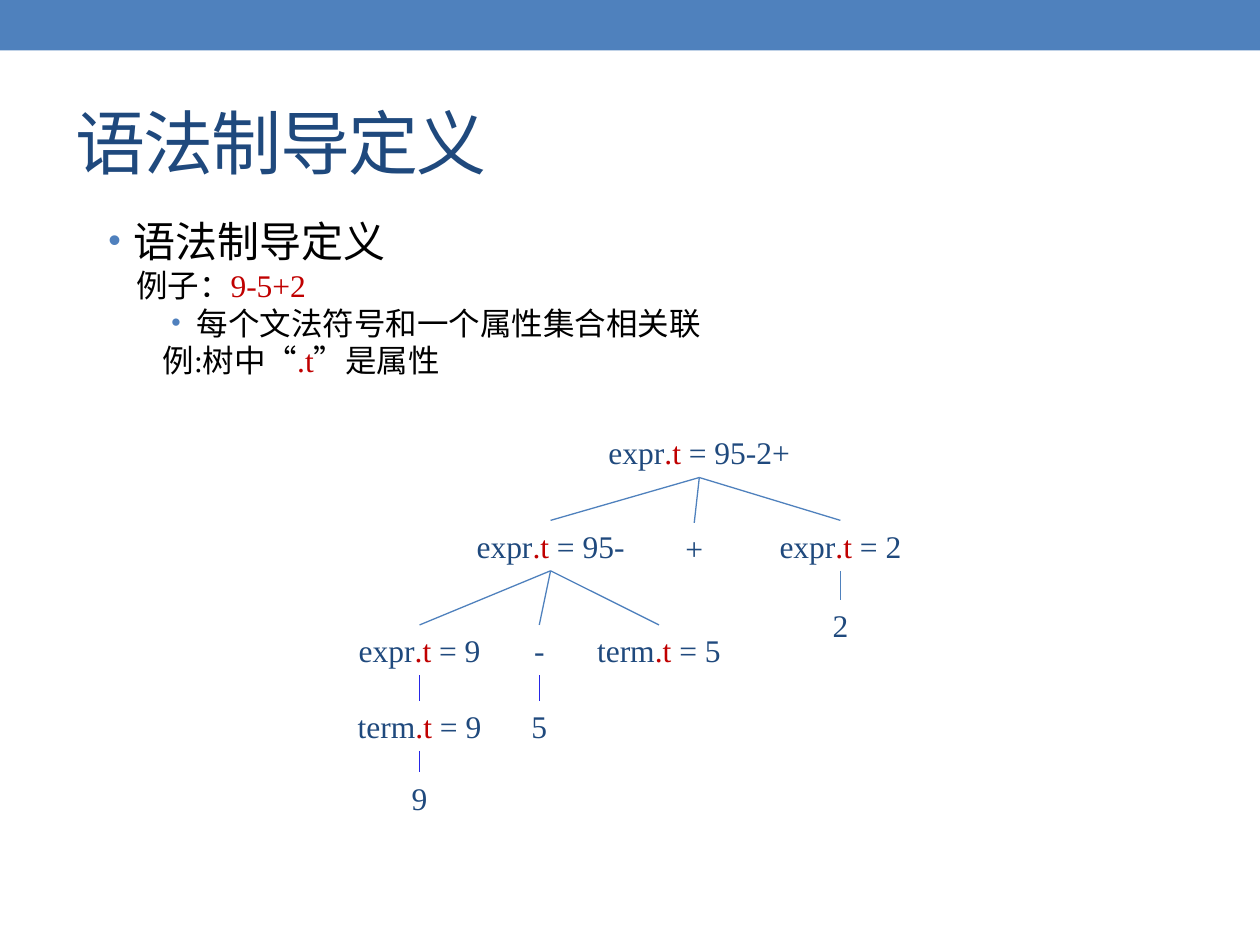
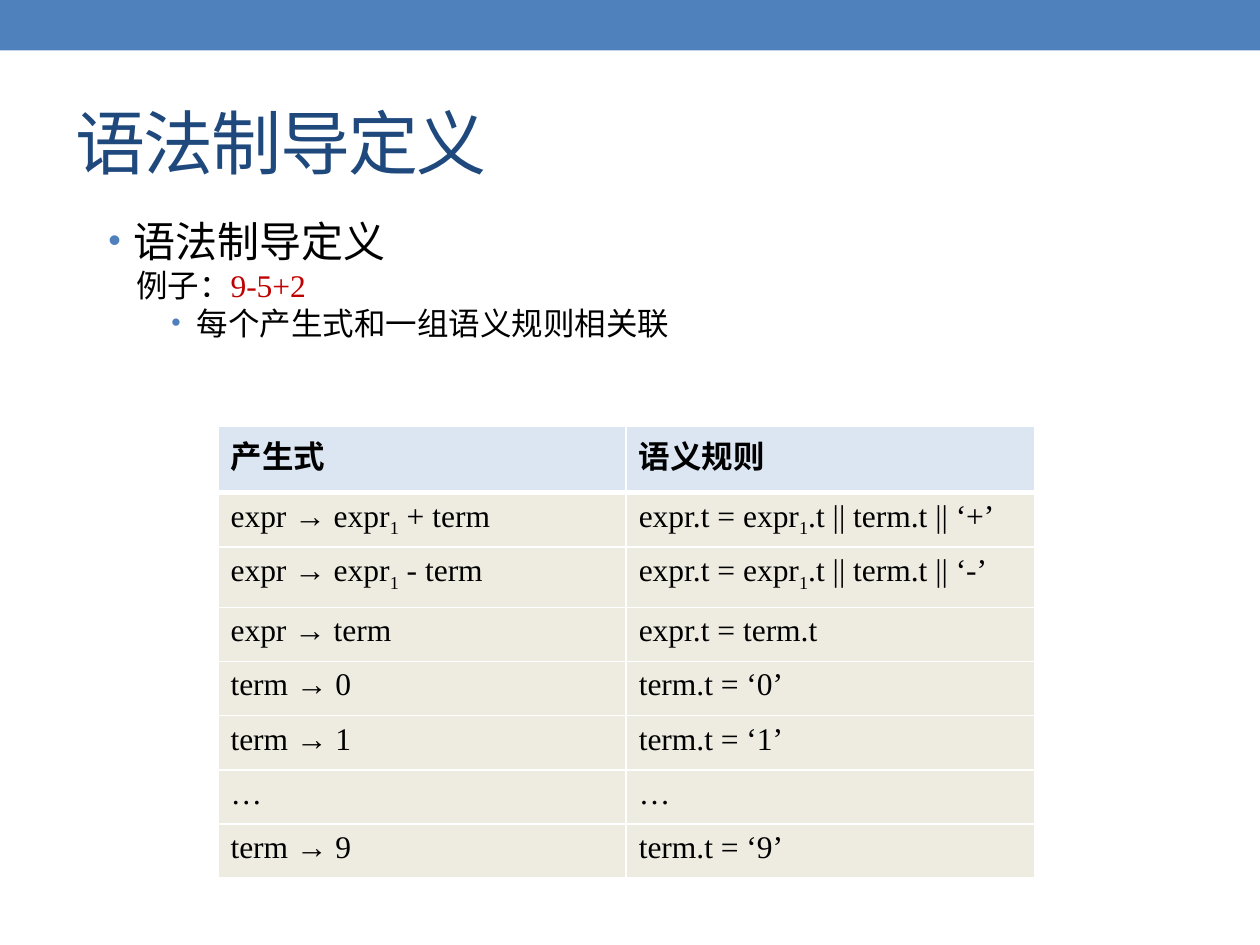
import pptx
import pptx.dml.color
import pptx.enum.shapes
import pptx.enum.text
import pptx.oxml.ns
import pptx.util
from lxml import etree

Inches, Pt, qn = pptx.util.Inches, pptx.util.Pt, pptx.oxml.ns.qn
ALIGN = pptx.enum.text.PP_ALIGN

COLORS = {
    "band": "4F81BD", "bullet": "4F80BD", "navy": "1F497D", "red": "C00000",
    "black": "000000", "white": "FFFFFF", "leaf_edge": "2626E6",
    "header": "DCE6F2", "row": "EEECE1",
}
FONT = "Times New Roman"
HEADING = "语法制导定义"
EXAMPLE = ([("例子：", "black"), ("9-5+2", "red")], 18, 0.22, False)

NODE_HEIGHT = 0.4
# Each node: centre x, top, width, text
TREE_NODES = {
    "root": (3.32, 0, 2.21, "expr.t = 95-2+"),
    "minus_expr": (2.14, 0.74, 2.21, "expr.t = 95-"),
    "plus": (3.28, 0.76, 0.57, "+"),
    "two_expr": (4.44, 0.74, 2.21, "expr.t = 2"),
    "two": (4.44, 1.37, 0.55, "2"),
    "nine_expr": (1.1, 1.57, 2.21, "expr.t = 9"),
    "minus": (2.05, 1.57, 0.7, "-"),
    "five_term": (3, 1.57, 1.54, "term.t = 5"),
    "nine_term": (1.1, 2.17, 1.54, "term.t = 9"),
    "five": (2.05, 2.17, 0.49, "5"),
    "nine": (1.1, 2.74, 1.54, "9"),
}
TREE_EDGES = {
    "band": [("root", "minus_expr"), ("root", "plus"), ("root", "two_expr"),
             ("minus_expr", "nine_expr"), ("minus_expr", "minus"),
             ("minus_expr", "five_term"), ("two_expr", "two")],
    "leaf_edge": [("nine_expr", "nine_term"), ("minus", "five"),
                  ("nine_term", "nine")],
}
RULES = [
    ("产生式", "语义规则"),
    ("expr → expr_1 + term", "expr.t = expr_1.t || term.t || ‘+’"),
    ("expr → expr_1 - term", "expr.t = expr_1.t || term.t || ‘-’"),
    ("expr → term", "expr.t = term.t"),
    ("term → 0", "term.t = ‘0’"),
    ("term → 1", "term.t = ‘1’"),
    ("…", "…"),
    ("term → 9", "term.t = ‘9’"),
]
ROW_HEIGHTS = [0.53, 0.43, 0.48] + [0.43] * 5


def rgb(name):
    """Return the named colour."""
    return pptx.dml.color.RGBColor.from_string(COLORS[name])


def add_run(paragraph, text, color, size=18):
    """Append a run in the deck's font and return it."""
    run = paragraph.add_run()
    run.text = text
    run.font.name, run.font.size = FONT, Pt(size)
    run.font.color.rgb = rgb(color)
    return run


def place(shape, box):
    """Move a shape to a box given in inches."""
    shape.left, shape.top, shape.width, shape.height = map(Inches, box)


def set_indent(paragraph, left, bulleted):
    """Set the left margin and the round bullet, or none."""
    props = paragraph._p.get_or_add_pPr()
    hanging = Inches(-0.2) if bulleted else 0
    props.set("marL", str(Inches(left)))
    props.set("indent", str(hanging))
    if not bulleted:
        etree.SubElement(props, qn("a:buNone"))
        return
    bullet_color = etree.SubElement(props, qn("a:buClr"))
    etree.SubElement(bullet_color, qn("a:srgbClr"), val=COLORS["bullet"])
    etree.SubElement(props, qn("a:buSzPct"), val="85000")
    etree.SubElement(props, qn("a:buFont"), typeface="Arial")
    etree.SubElement(props, qn("a:buChar"), char="•")


def add_band(slide):
    """Draw the band along the top edge."""
    band = slide.shapes.add_shape(
        pptx.enum.shapes.MSO_SHAPE.RECTANGLE, 0, 0, Inches(10), Inches(0.4))
    band.shadow.inherit = False
    band.fill.solid()
    band.fill.fore_color.rgb = rgb("band")
    band.line.fill.background()


def fill_title(title, box):
    """Place and write the slide title."""
    place(title, box)
    frame = title.text_frame
    frame.auto_size = pptx.enum.text.MSO_AUTO_SIZE.NONE
    frame.vertical_anchor = pptx.enum.text.MSO_ANCHOR.MIDDLE
    frame.paragraphs[0].alignment = ALIGN.LEFT
    run = add_run(frame.paragraphs[0], HEADING, "navy", 40)
    run._r.get_or_add_rPr().set("spc", "-100")


def fill_body(body, box, points):
    """Write the points, each of runs, size, margin and bullet flag."""
    place(body, box)
    frame = body.text_frame
    frame.auto_size = pptx.enum.text.MSO_AUTO_SIZE.NONE
    for index, (runs, size, margin, bulleted) in enumerate(points):
        paragraph = frame.add_paragraph() if index else frame.paragraphs[0]
        set_indent(paragraph, margin, bulleted)
        paragraph.space_before = Pt(0)
        for text, color in runs:
            add_run(paragraph, text, color, size)


def add_slide(prs, body_height, points):
    """Add a slide with the band, the title and the list."""
    slide = prs.slides.add_slide(prs.slide_layouts[1])
    add_band(slide)
    fill_title(slide.shapes.title, (0.5, 0.58, 9, 1.08))
    opening = ([(HEADING, "black")], 24, 0.2, True)
    fill_body(slide.placeholders[1], (0.76, 1.66, 7.32, body_height),
              [opening, EXAMPLE, *points])
    return slide


def add_node(slide, left, top, node):
    """Add one tree node, with its attribute in red."""
    center, offset, width, text = node
    label = slide.shapes.add_textbox(
        Inches(left + center - width / 2), Inches(top + offset),
        Inches(width), Inches(NODE_HEIGHT))
    label.text_frame.word_wrap = True
    paragraph = label.text_frame.paragraphs[0]
    paragraph.alignment = ALIGN.CENTER
    for part, color in zip(text.partition(".t"), ("navy", "red", "navy")):
        if part:
            add_run(paragraph, part, color)
    return label


def add_tree(slide, left, top):
    """Draw the annotated parse tree from its top left corner."""
    labels = {name: add_node(slide, left, top, node)
              for name, node in TREE_NODES.items()}
    for color, edges in TREE_EDGES.items():
        for parent, child in edges:
            edge = slide.shapes.add_connector(
                pptx.enum.shapes.MSO_CONNECTOR.STRAIGHT, 0, 0, 0, 0)
            edge.begin_connect(labels[parent], 2)
            edge.end_connect(labels[child], 0)
            edge.line.color.rgb = rgb(color)
            edge.line.width = Pt(0.75)
            etree.SubElement(edge._element.spPr, qn("a:effectLst"))


def set_borders(cell, top, bottom):
    """Give a cell white borders, with top and bottom widths in points."""
    props = cell._tc.get_or_add_tcPr()
    for side, width in (("L", 1), ("R", 1), ("T", top), ("B", bottom)):
        line = etree.SubElement(props, qn(f"a:ln{side}"), w=str(Pt(width)))
        fill = etree.SubElement(line, qn("a:solidFill"))
        etree.SubElement(fill, qn("a:srgbClr"), val=COLORS["white"])


def fill_cell(cell, text, row):
    """Write one rule, with each _1 as a subscript."""
    set_borders(cell, 3 if row == 1 else 1, 3 if row == 0 else 1)
    cell.fill.solid()
    cell.fill.fore_color.rgb = rgb("row" if row else "header")
    paragraph = cell.text_frame.paragraphs[0]
    for index, part in enumerate(text.split("_1")):
        if index:
            subscript = add_run(paragraph, "1", "black")
            subscript.font.bold = False
            subscript._r.get_or_add_rPr().set("baseline", "-25000")
        add_run(paragraph, part, "black").font.bold = row == 0


def add_rules(slide, box):
    """Add the table of productions and semantic rules."""
    table = slide.shapes.add_table(len(RULES), 2, *map(Inches, box)).table
    for row, (rule, height) in enumerate(zip(RULES, ROW_HEIGHTS)):
        table.rows[row].height = Inches(height)
        for column, text in enumerate(rule):
            fill_cell(table.cell(row, column), text, row)


def main():
    """Build both slides and save the deck."""
    prs = pptx.Presentation()
    prs.slide_width, prs.slide_height = Inches(10), Inches(7.5)
    tree_slide = add_slide(prs, 2.02, [
        ([("每个文法符号和一个属性集合相关联", "black")], 18, 0.7, True),
        ([("例:树中“", "black"), (".t", "red"), ("”是属性", "black")],
         18, 0.43, False),
    ])
    add_tree(tree_slide, 2.23, 3.39)
    rules_slide = add_slide(prs, 1.72, [
        ([("每个产生式和一组语义规则相关联", "black")], 18, 0.7, True),
    ])
    add_rules(rules_slide, (1.73, 3.38, 6.48, 3.59))
    prs.save("out.pptx")


if __name__ == "__main__":
    main()
